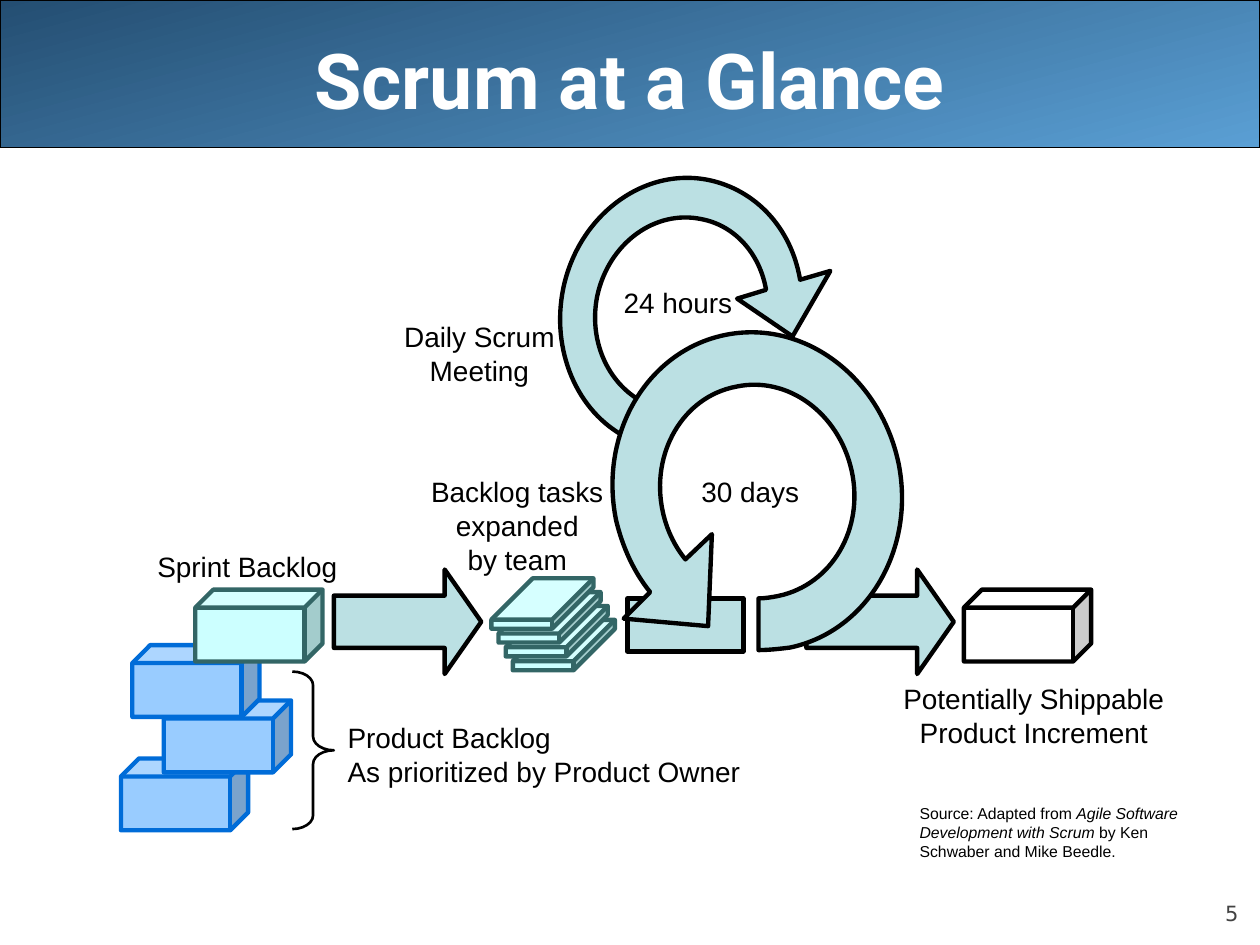
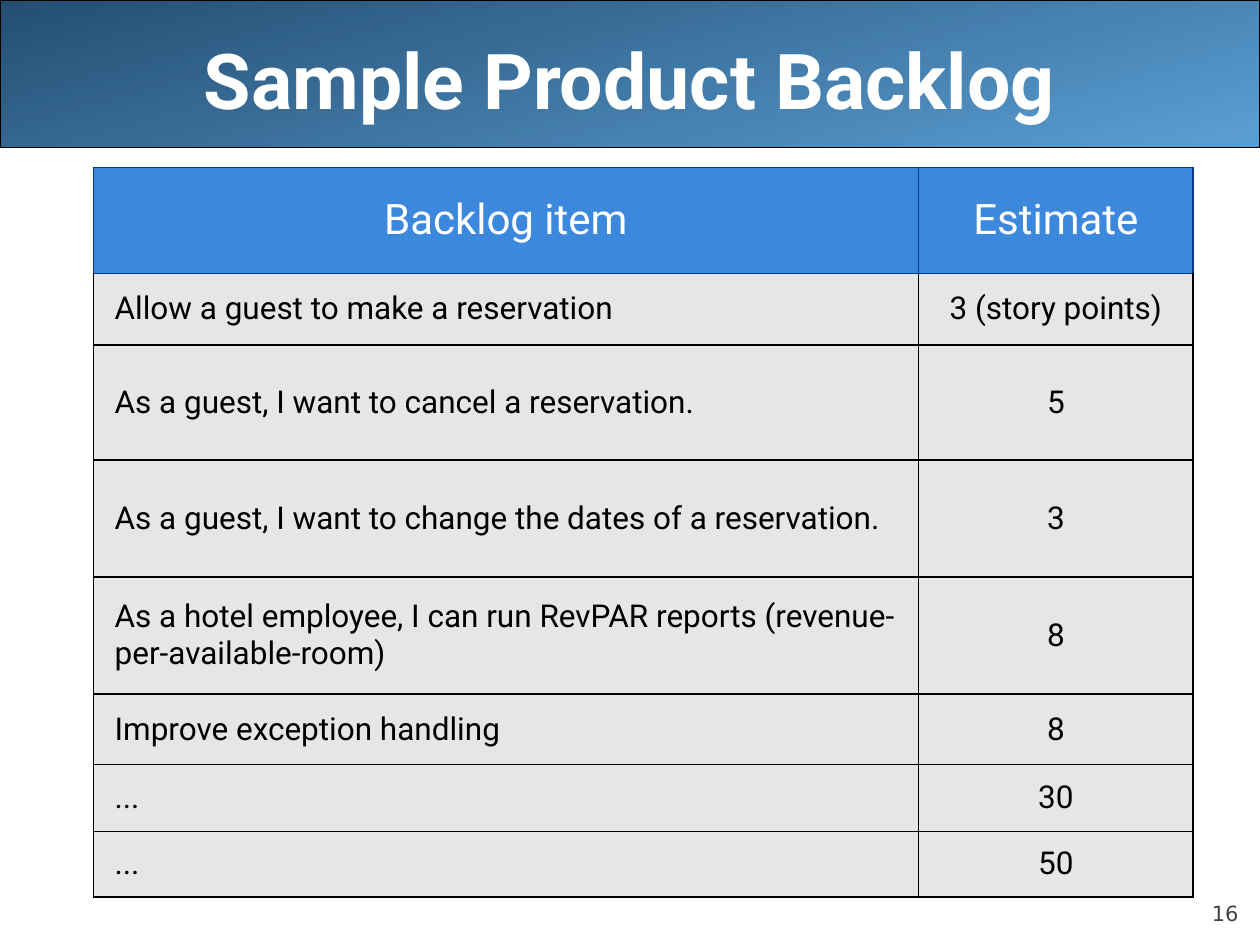
import pptx
import pptx.util
import pptx.dml.color
import pptx.enum.shapes
import pptx.enum.text
import pptx.oxml
import lxml.etree

Inches = pptx.util.Inches
Pt = pptx.util.Pt
RGBColor = pptx.dml.color.RGBColor
SHAPE = pptx.enum.shapes.MSO_SHAPE
ALIGN = pptx.enum.text.PP_ALIGN
ANCHOR = pptx.enum.text.MSO_ANCHOR
AUTO_SIZE = pptx.enum.text.MSO_AUTO_SIZE
qn = pptx.oxml.ns.qn

BLACK = RGBColor(0x00, 0x00, 0x00)
WHITE = RGBColor(0xFF, 0xFF, 0xFF)
BAND_DARK = RGBColor(0x24, 0x4E, 0x72)
BAND_LIGHT = RGBColor(0x5A, 0x9F, 0xD4)
NUMBER_GRAY = RGBColor(0x42, 0x42, 0x42)
FLOW_TEAL = RGBColor(0xBB, 0xE0, 0xE3)
PRODUCT_BLUE = RGBColor(0x99, 0xCC, 0xFF)
PRODUCT_EDGE = RGBColor(0x00, 0x6C, 0xD8)
SPRINT_AQUA = RGBColor(0xCC, 0xFF, 0xFF)
SPRINT_EDGE = RGBColor(0x33, 0x66, 0x66)
HEADER_BLUE = RGBColor(0x3C, 0x88, 0xDC)
HEADER_EDGE = RGBColor(0x00, 0x3C, 0x83)
ROW_GRAY = RGBColor(0xE6, 0xE6, 0xE6)


def style_shape(shape, fill, edge=BLACK):
    shape.shadow.inherit = False
    shape.fill.solid()
    shape.fill.fore_color.rgb = fill
    shape.line.color.rgb = edge
    shape.line.width = Pt(2.5)


def add_label(slide, box, lines, size=16, font="Arial", color=BLACK, align=ALIGN.CENTER):
    label = slide.shapes.add_textbox(*[Inches(value) for value in box])
    frame = label.text_frame
    frame.word_wrap = False
    frame.text = "\n".join(lines)
    for paragraph in frame.paragraphs:
        paragraph.alignment = align
        paragraph.font.size = Pt(size)
        paragraph.font.name = font
        paragraph.font.color.rgb = color
    return frame


presentation = pptx.Presentation()
presentation.slide_width = Inches(10)
presentation.slide_height = Inches(7.5)
layout = presentation.slide_layouts[5]

slides = []
for title_text, number in [("Scrum at a Glance", "5"), ("Sample Product Backlog", "16")]:
    slide = presentation.slides.add_slide(layout)
    slides.append(slide)
    title = slide.shapes.title
    title.left, title.top, title.width, title.height = Inches(0.5), 0, Inches(9), Inches(1.25)
    title.text_frame.text = title_text
    title.text_frame.auto_size = AUTO_SIZE.NONE
    title.text_frame.vertical_anchor = ANCHOR.MIDDLE
    paragraph = title.text_frame.paragraphs[0]
    paragraph.alignment = ALIGN.CENTER
    paragraph.font.size = Pt(44)
    paragraph.font.name = "Roboto"
    paragraph.font.bold = True
    paragraph.font.color.rgb = WHITE
    frame = add_label(slide, (9, 6.95, 0.83, 0.4), [number], 12, "DejaVu Sans", NUMBER_GRAY, ALIGN.RIGHT)
    frame.word_wrap = True
    frame.vertical_anchor = ANCHOR.BOTTOM
    frame.margin_left = frame.margin_top = frame.margin_right = frame.margin_bottom = 0

glance, backlog = slides

band = glance.shapes.add_shape(SHAPE.ROUNDED_RECTANGLE, 0, 0, Inches(10), Inches(1.17))
band.adjustments[0] = 0
band.shadow.inherit = False
band.fill.gradient()
band.fill.gradient_angle = 285
for stop, color in zip(band.fill.gradient_stops, (BAND_DARK, BAND_LIGHT)):
    stop.color.rgb = color
band.line.color.rgb = BLACK
band.line.width = Pt(0.75)
layout.shapes.element.insert(2, band.element)

increment_arrow, sprint_arrow = [
    glance.shapes.add_shape(SHAPE.RIGHT_ARROW, Inches(left), Inches(4.52), Inches(1.17), Inches(0.83))
    for left in (6.4, 2.65)
]
for arrow in (increment_arrow, sprint_arrow):
    arrow.adjustments[0] = 0.5
    arrow.adjustments[1] = 0.35
    style_shape(arrow, FLOW_TEAL)

sprint_start = glance.shapes.add_shape(SHAPE.RECTANGLE, Inches(4.98), Inches(4.75), Inches(0.92), Inches(0.42))
style_shape(sprint_start, FLOW_TEAL)

daily_loop = [
    (6.08, 2.3), (6.03, 2.01, 5.83, 1.79, 5.57, 1.74), (5.2, 1.66, 4.83, 1.93, 4.74, 2.35),
    (4.67, 2.7, 4.82, 3.04, 5.1, 3.19), (4.97, 3.47), (4.58, 3.27, 4.37, 2.78, 4.47, 2.29),
    (4.59, 1.71, 5.11, 1.32, 5.63, 1.43), (6, 1.51, 6.28, 1.81, 6.35, 2.22),
    (6.59, 2.15), (6.29, 2.67), (5.85, 2.37),
]
sprint_loop = [
    (5.44, 4.44), (5.35, 4.33, 5.29, 4.2, 5.26, 4.06), (5.16, 3.6, 5.42, 3.15, 5.84, 3.07),
    (6.25, 2.98, 6.66, 3.28, 6.76, 3.74), (6.86, 4.2, 6.6, 4.64, 6.18, 4.73),
    (6.13, 4.74, 6.07, 4.75, 6.02, 4.75), (6.02, 5.16), (6.1, 5.16, 6.19, 5.15, 6.27, 5.14),
    (6.89, 5.01, 7.27, 4.35, 7.13, 3.67), (6.98, 2.98, 6.37, 2.53, 5.75, 2.66),
    (5.13, 2.79, 4.75, 3.45, 4.89, 4.13), (4.94, 4.34, 5.03, 4.54, 5.16, 4.7),
    (4.95, 4.91), (5.62, 4.97), (5.65, 4.24),
]
for loop in (daily_loop, sprint_loop):
    points = [
        (Inches(segment[i]), Inches(segment[i + 1]))
        for segment in loop for i in range(0, len(segment), 2)
    ]
    builder = glance.shapes.build_freeform(*points[0])
    builder.add_line_segments(points[1:], close=True)
    ring = builder.convert_to_shape()
    style_shape(ring, FLOW_TEAL)
    lines = iter(list(ring.element.iter(qn("a:lnTo"))))
    for segment in loop[1:]:
        curve = next(lines)
        if len(segment) == 6:
            bezier = lxml.etree.Element(qn("a:cubicBezTo"))
            curve.addprevious(bezier)
            for line in (curve, next(lines), next(lines)):
                bezier.append(line[0])
                line.getparent().remove(line)

cubes = [
    (0.96, 6.02, PRODUCT_BLUE, PRODUCT_EDGE),
    (1.3, 5.56, PRODUCT_BLUE, PRODUCT_EDGE),
    (1.05, 5.12, PRODUCT_BLUE, PRODUCT_EDGE),
    (1.55, 4.68, SPRINT_AQUA, SPRINT_EDGE),
    (7.65, 4.68, WHITE, BLACK),
]
for left, top, fill, edge in cubes:
    cube = glance.shapes.add_shape(SHAPE.CUBE, Inches(left), Inches(top), Inches(1.01), Inches(0.57))
    cube.adjustments[0] = 0.25
    style_shape(cube, fill, edge)

task_stack = glance.shapes.add_group_shape()
for level in range(3, -1, -1):
    task = task_stack.shapes.add_shape(
        SHAPE.CUBE, Inches(3.9 + 0.17 * level / 3), Inches(4.59 + 0.11 * level), Inches(0.81), Inches(0.4))
    task.adjustments[0] = 0.82
    style_shape(task, SPRINT_AQUA, SPRINT_EDGE)

brace = glance.shapes.add_shape(SHAPE.RIGHT_BRACE, Inches(2.32), Inches(5.33), Inches(0.33), Inches(1.25))
brace.adjustments[0] = 0.33
brace.adjustments[1] = 0.5
style_shape(brace, WHITE)
brace.fill.background()
brace.line.width = Pt(1.5)

labels = [
    ((5.42, 3.72, 1.07, 0.37), ["30 days"], ALIGN.CENTER),
    ((4.8, 2.22, 1.16, 0.37), ["24 hours"], ALIGN.CENTER),
    ((2.66, 5.67, 3.41, 0.64), ["Product Backlog", "As prioritized by Product Owner"], ALIGN.LEFT),
    ((1.15, 4.31, 1.73, 0.37), ["Sprint Backlog"], ALIGN.LEFT),
    ((3.32, 3.72, 1.57, 0.9), ["Backlog tasks", "expanded", "by team"], ALIGN.CENTER),
    ((7.02, 5.36, 2.37, 0.64), ["Potentially Shippable", "Product Increment"], ALIGN.CENTER),
    ((3.06, 2.49, 1.49, 0.64), ["Daily Scrum", "Meeting"], ALIGN.CENTER),
]
for box, lines, align in labels:
    add_label(glance, box, lines, align=align).word_wrap = True

source = add_label(glance, (7.2, 6.33, 2.58, 0.55), ["Source: Adapted from "], 9, align=ALIGN.LEFT)
source.word_wrap = True
book = source.paragraphs[0].add_run()
book.text = "Agile Software Development with Scrum "
book.font.italic = True
source.paragraphs[0].add_run().text = "by Ken Schwaber and Mike Beedle."

items = [
    ("Backlog item", "Estimate", 0.84),
    ("Allow a guest to make a reservation", "3 (story points)", 0.57),
    ("As a guest, I want to cancel a reservation.", "5", 0.91),
    ("As a guest, I want to change the dates of a reservation.", "3", 0.93),
    ("As a hotel employee, I can run RevPAR reports (revenue-per-available-room)", "8", 0.93),
    ("Improve exception handling", "8", 0.56),
    ("...", "30", 0.53),
    ("...", "50", 0.52),
]
table = backlog.shapes.add_table(
    len(items), 2, Inches(0.74), Inches(1.33), Inches(8.73), Inches(5.79)).table
table.horz_banding = False
table.columns[0].width = Inches(6.55)
table.columns[1].width = Inches(2.18)
for row_index, (item, estimate, height) in enumerate(items):
    table.rows[row_index].height = Inches(height)
    is_header = row_index == 0
    for column_index, text in enumerate((item, estimate)):
        cell = table.cell(row_index, column_index)
        is_item = column_index == 0 and not is_header
        cell.text = text
        cell.vertical_anchor = ANCHOR.MIDDLE
        cell.margin_left = Inches(0.17 if is_item else 0.04)
        cell.margin_right = Inches(0.04)
        cell.margin_top = cell.margin_bottom = Inches(0.05)
        paragraph = cell.text_frame.paragraphs[0]
        paragraph.alignment = ALIGN.LEFT if is_item else ALIGN.CENTER
        paragraph.font.size = Pt(24 if is_header else 18)
        paragraph.font.name = "Roboto"
        paragraph.font.bold = False
        paragraph.font.color.rgb = WHITE if is_header else BLACK
        properties = cell._tc.get_or_add_tcPr()
        for side in ("lnL", "lnR", "lnT", "lnB"):
            blue_edge = is_header or (row_index == 1 and side == "lnT")
            border = lxml.etree.SubElement(properties, qn("a:" + side), w=str(Pt(0.96)))
            border_fill = lxml.etree.SubElement(border, qn("a:solidFill"))
            lxml.etree.SubElement(border_fill, qn("a:srgbClr"), val=str(HEADER_EDGE if blue_edge else BLACK))
        cell.fill.solid()
        cell.fill.fore_color.rgb = HEADER_BLUE if is_header else ROW_GRAY

presentation.save("out.pptx")
